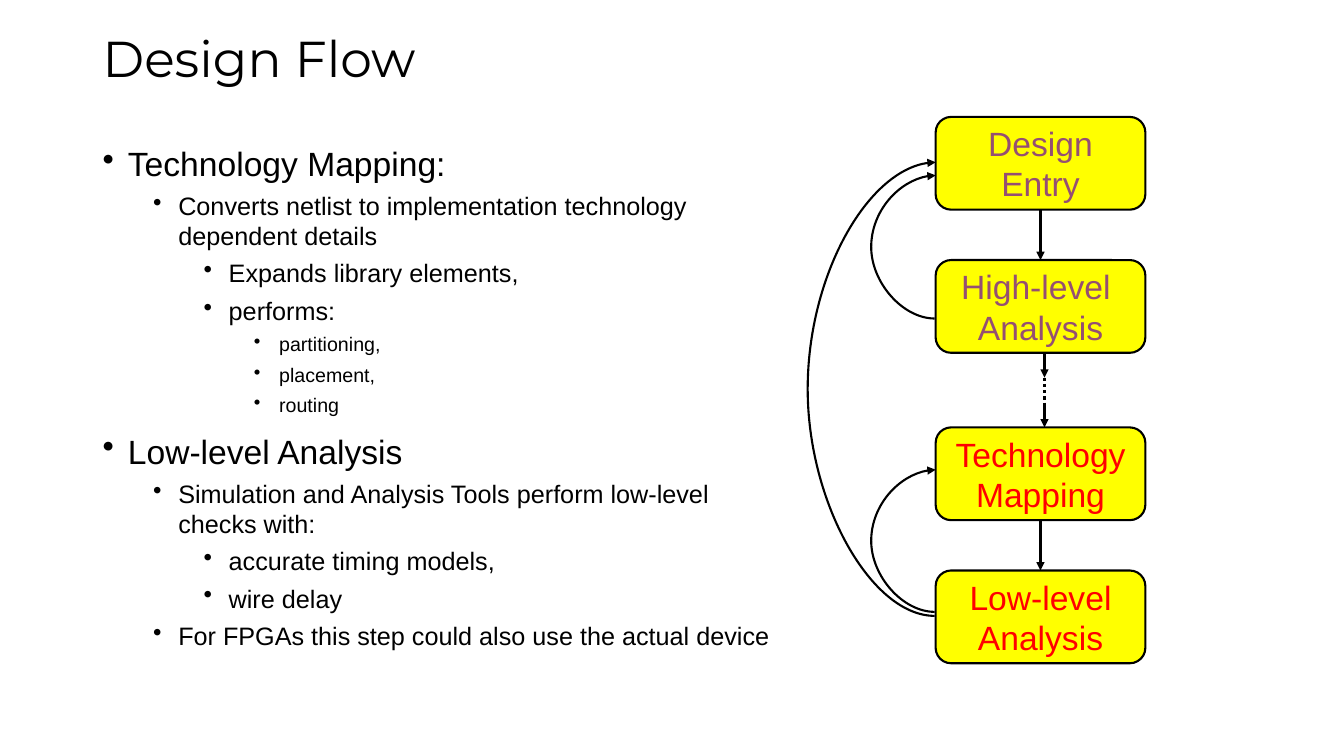
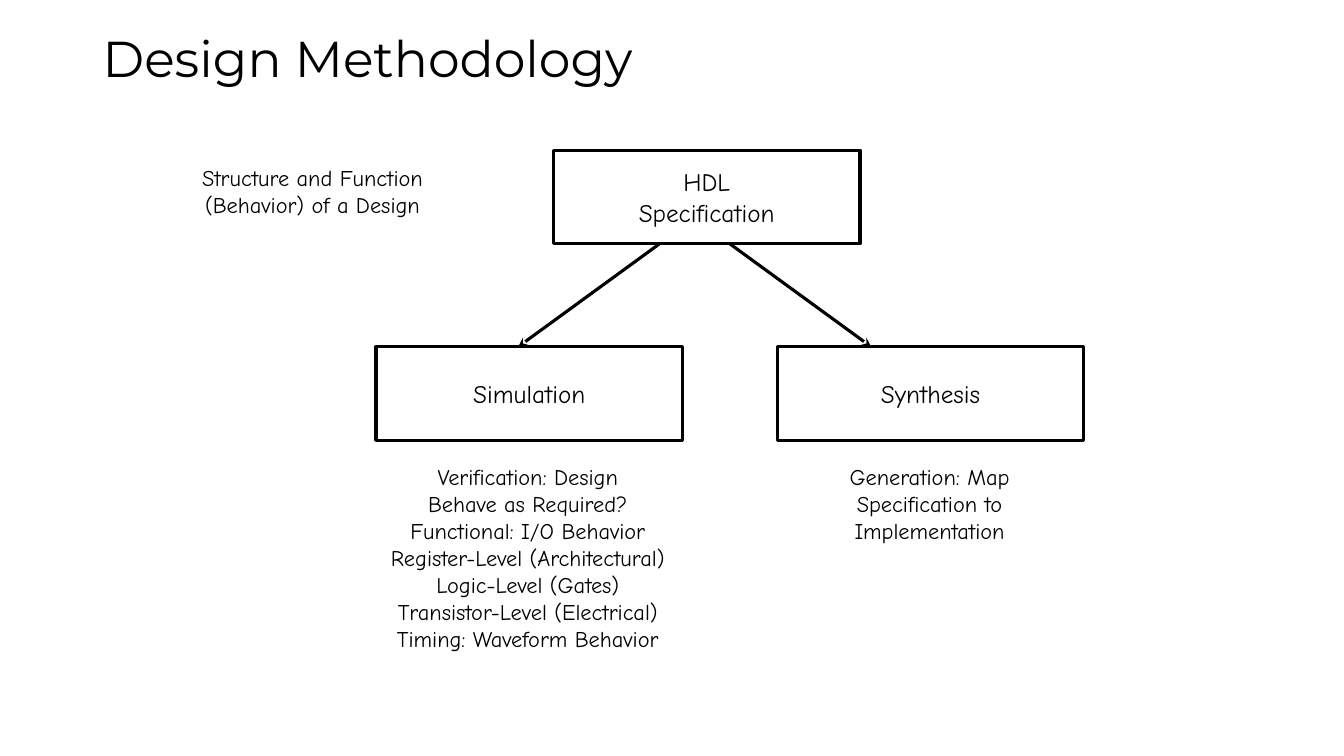
import pptx
import pptx.util
import pptx.dml.color
import pptx.enum.dml
import pptx.enum.shapes
import pptx.enum.text
import pptx.oxml.ns
from lxml import etree

Inches, Pt = pptx.util.Inches, pptx.util.Pt
qn = pptx.oxml.ns.qn
SHAPE = pptx.enum.shapes.MSO_SHAPE
CONNECTOR = pptx.enum.shapes.MSO_CONNECTOR
ALIGN = pptx.enum.text.PP_ALIGN
ANCHOR = pptx.enum.text.MSO_ANCHOR

BLACK, YELLOW, PURPLE, RED = "000000", "FFFF00", "954F72", "FF0000"
TITLE_FONT = {"name": "Montserrat", "size": 36}
BODY_FONT, STEP_FONT = {"name": "Arial"}, {"name": "Arial", "size": 24}
BOX_FONT = {"name": "Comic Neue", "size": 18}
NOTE_FONT = {"name": "Comic Neue", "size": 16}
CENTRED = {"alignment": ALIGN.CENTER}

# Design Flow: bullets as (level, text); level gives (size, space before)
LEVELS = [(24, 10), (18, 5), (18, 5), (14, 5)]
BULLETS = [
    (0, "Technology Mapping:"),
    (1, "Converts netlist to implementation technology dependent details"),
    (2, "Expands library elements,"),
    (2, "performs:"),
    (3, "partitioning,"),
    (3, "placement,"),
    (3, "routing"),
    (0, "Low-level Analysis"),
    (1, "Simulation and Analysis Tools perform low-level checks with:"),
    (2, "accurate timing models,"),
    (2, "wire delay"),
    (1, "For FPGAs this step could also use the actual device"),
]
# Each pair of steps: top, text colour, labels
STEP_PAIRS = [
    (1.16, PURPLE, [["Design", "Entry"], ["High-level ", "Analysis"]]),
    (4.24, RED, [["Technology", "Mapping"], ["Low-level", "Analysis"]]),
]
STEP_LEFT, STEP_WIDTH, STEP_HEIGHT, STEP_PITCH = 9.28, 2.08, 0.92, 1.42
# Feedback curves: bottom, top, bulge to the left
FEEDBACK = [(6.07, 4.66, 0.64), (3.16, 1.74, 0.64), (6.11, 1.61, 1.28)]
CURVE_WIDTH = 0.01

# Design Methodology: boxes as (left, top, label), notes as (place, lines)
BOX_SIZE = (3.04, 0.93)
TOP_ROW, LOWER_ROW = 1.49, 3.44
BOXES = [(5.49, TOP_ROW, "HDL\vSpecification"), (3.73, LOWER_ROW, "Simulation"),
         (7.71, LOWER_ROW, "Synthesis")]
NOTES = [
    ((1.26, 1.58, 3.68, 0.71), ["Structure and Function\v(Behavior) of a Design"]),
    ((2.88, 4.55, 4.71, 2.19), [
        "Verification: Design", "Behave as Required?", "Functional: I/O Behavior",
        "Register-Level (Architectural)", "Logic-Level (Gates)",
        "Transistor-Level (Electrical)", "Timing: Waveform Behavior"]),
    ((7.89, 4.55, 2.66, 1), ["Generation: Map", "Specification to", "Implementation"]),
]
FORK_CENTRE, FORK_START, FORK_END = 6.89, 0.35, 1.75


def rgb(value):
    return pptx.dml.color.RGBColor.from_string(value)


def apply(target, values):
    for name, value in values.items():
        setattr(target, name, value)


def write(shape, lines, font, color=BLACK, paragraph_format=None, **frame_format):
    """Fill a shape with paragraphs and return them."""
    frame = shape.text_frame
    apply(frame, frame_format)
    for index, line in enumerate(lines):
        paragraph = frame.add_paragraph() if index else frame.paragraphs[0]
        paragraph.text = line
        apply(paragraph, paragraph_format or {})
        for run in paragraph.runs:
            run.font.name = font["name"]
            run.font.color.rgb = rgb(color)
            if "size" in font:
                run.font.size = Pt(font["size"])
    return frame.paragraphs


def add_text(slide, place, lines, font, **options):
    box = slide.shapes.add_textbox(*map(Inches, place))
    return write(box, lines, font, **options)


def add_box(slide, kind, place, lines, font, line_width, fill=None, color=BLACK):
    shape = slide.shapes.add_shape(kind, *map(Inches, place))
    shape.shadow.inherit = False
    if fill:
        shape.fill.solid()
        shape.fill.fore_color.rgb = rgb(fill)
    else:
        shape.fill.background()
    shape.line.color.rgb = rgb(BLACK)
    shape.line.width = Pt(line_width)
    write(shape, lines, font, color, CENTRED,
          word_wrap=False, vertical_anchor=ANCHOR.MIDDLE)


def add_line(slide, start, end, width=1.5, arrow="triangle", dash=None,
             kind=CONNECTOR.STRAIGHT):
    connector = slide.shapes.add_connector(kind, *map(Inches, (*start, *end)))
    connector.line.color.rgb = rgb(BLACK)
    connector.line.width = Pt(width)
    if dash:
        connector.line.dash_style = dash
    properties = connector._element.spPr
    if arrow:
        etree.SubElement(properties.find(qn("a:ln")), qn("a:tailEnd"), type=arrow)
    etree.SubElement(properties, qn("a:effectLst"))
    return connector


def add_feedback(slide, bottom, top, bulge):
    """Curve from bottom to top, bowed out to the left of the steps."""
    curve = add_line(slide, (STEP_LEFT, top), (STEP_LEFT - CURVE_WIDTH, bottom),
                     kind=CONNECTOR.CURVE)
    curve._element.spPr.find(qn("a:xfrm")).set("rot", str(180 * 60000))
    adjustments = curve._element.spPr.find(qn("a:prstGeom")).find(qn("a:avLst"))
    share = round(-bulge / CURVE_WIDTH * 100000)
    etree.SubElement(adjustments, qn("a:gd"), name="adj1", fmla=f"val {share}")


def add_slide(presentation, title):
    slide = presentation.slides.add_slide(presentation.slide_layouts[6])
    add_text(slide, (0.92, 0.25, 11.5, 0.71), [title], TITLE_FONT,
             paragraph_format={"line_spacing": 0.9},
             word_wrap=True, vertical_anchor=ANCHOR.MIDDLE)
    return slide


def add_bullets(slide):
    paragraphs = add_text(slide, (0.92, 1.37, 7.02, 5.47),
                          [text for _, text in BULLETS], BODY_FONT, word_wrap=True)
    for index, (paragraph, (level, _)) in enumerate(zip(paragraphs, BULLETS)):
        size, space = LEVELS[level]
        paragraph.level = level
        paragraph.space_before = Pt(space if index else 0)
        properties = paragraph._p.get_or_add_pPr()
        properties.set("marL", str(Inches(0.25 + 0.5 * level)))
        properties.set("indent", str(Inches(-0.25)))
        etree.SubElement(properties, qn("a:buChar"), char="•")
        for run in paragraph.runs:
            run.font.size = Pt(size)


def build_design_flow(presentation):
    slide = add_slide(presentation, "Design Flow")
    add_bullets(slide)
    middle = STEP_LEFT + STEP_WIDTH / 2
    for top, color, labels in STEP_PAIRS:
        for row, lines in enumerate(labels):
            place = (STEP_LEFT, top + row * STEP_PITCH, STEP_WIDTH, STEP_HEIGHT)
            add_box(slide, SHAPE.ROUNDED_RECTANGLE, place, lines, STEP_FONT, 1.5,
                    YELLOW, color)
        add_line(slide, (middle, top + STEP_HEIGHT), (middle, top + STEP_PITCH))
    for curve in FEEDBACK:
        add_feedback(slide, *curve)

    # The gap between the pairs: arrow, dots, arrow in equal parts
    x = 10.36
    gap_top = STEP_PAIRS[0][0] + STEP_PITCH + STEP_HEIGHT
    part = (STEP_PAIRS[1][0] - gap_top) / 3
    dots = {"width": 2.25, "arrow": None, "dash": pptx.enum.dml.MSO_LINE.ROUND_DOT}
    for index, options in enumerate([{}, dots, {}]):
        y = gap_top + index * part
        add_line(slide, (x, y), (x, y + part), **options)


def build_design_methodology(presentation):
    slide = add_slide(presentation, "Design Methodology")
    for left, top, label in BOXES:
        add_box(slide, SHAPE.RECTANGLE, (left, top, *BOX_SIZE), [label], BOX_FONT, 2.25)
    for side in (-1, 1):
        add_line(slide, (FORK_CENTRE + side * FORK_START, TOP_ROW + BOX_SIZE[1]),
                 (FORK_CENTRE + side * FORK_END, LOWER_ROW), 2.25, "stealth")
    for place, lines in NOTES:
        add_text(slide, place, lines, NOTE_FONT, paragraph_format=CENTRED,
                 word_wrap=False)


def main():
    presentation = pptx.Presentation()
    presentation.slide_width = Inches(13.33)
    presentation.slide_height = Inches(7.5)
    build_design_flow(presentation)
    build_design_methodology(presentation)
    presentation.save("out.pptx")


if __name__ == "__main__":
    main()
